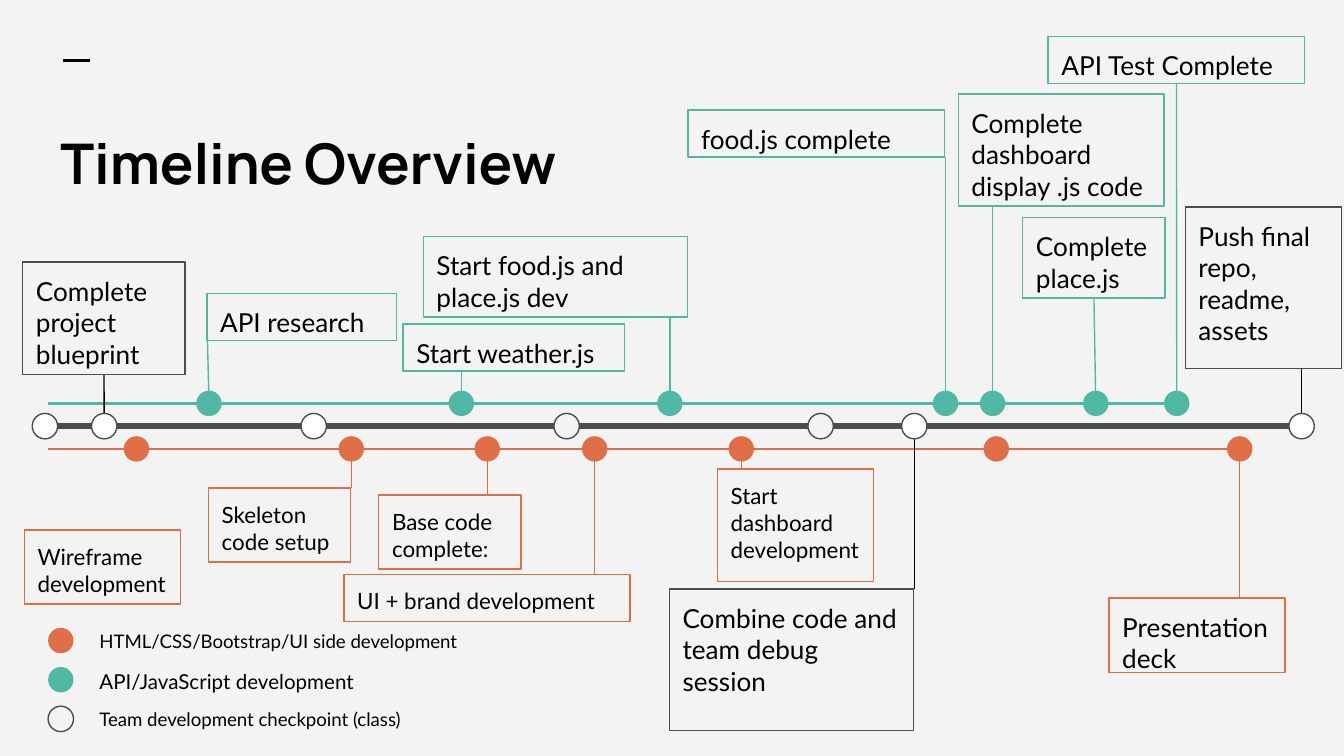
from lxml import etree
from pptx import Presentation
from pptx.dml.color import RGBColor
from pptx.enum import shapes, text
from pptx.oxml import ns
from pptx.util import Cm, Pt

COLORS = {
    "paper": "F3F3F3",
    "white": "FFFFFF",
    "ink": "000000",
    "grey": "4C4C4C",
    "teal": "51B9A3",
    "orange": "E06F48",
}
DOT = 0.48
INSET = 0.25

API_DOTS = [3.05, 7.82, 11.76, 16.97, 17.86, 19.81, 21.34]
API_LABELS = [
    ("API research", 3.01, -2.08, 3.58, 0.89, 14, 0, 1),
    ("Start weather.js", 6.72, -1.5, 4.19, 0.89, 14, 1, None),
    ("Start food.js and place.js dev", 7.1, -3.15, 5, 1.52, 14, 2, None),
    ("food.js complete", 12.1, -5.54, 4.85, 0.89, 14, 3, None),
    ("Complete dashboard display .js code", 17.21, -5.84, 3.89, 2.11, 14, 4, None),
    ("Complete place.js", 18.43, -3.51, 2.69, 1.52, 14, 5, 2),
    ("API Test Complete", 18.91, -6.93, 4.85, 0.89, 14, 6, 2),
]
UI_DOTS = [1.68, 5.74, 8.31, 10.34, 13.11, 17.93, 22.53]
UI_LABELS = [
    ("Wireframe development", -0.44, 1.53, 2.95, 1.4, 12, None, None),
    ("Skeleton code setup", 3.04, 0.74, 2.69, 1.4, 12, 1, None),
    ("Base code complete:", 6.26, 0.87, 2.69, 1.4, 12, 2, None),
    ("UI + brand development", 5.6, 2.37, 5.41, 0.89, 12, 3, None),
    ("Start dashboard development", 12.66, 0.38, 2.95, 2.13, 12, 4, None),
    ("Presentation deck", 20.06, 2.82, 3.33, 1.4, 14, 6, None),
]
TEAM_DOTS = [-0.05, 1.07, 5.03, 9.81, 14.61, 16.38, 23.7]
TEAM_LABELS = [
    ("Complete project blueprint", -0.47, -3.1, 3.07, 2.13, 14, 1, 2),
    ("Combine code and team debug session", 11.75, 3.08, 4.62, 2.67, 14, 5, None),
    ("Push final repo, readme, assets", 21.5, -4.14, 2.95, 3.05, 14, 6, None),
]
TEAM_PALE_DOTS = (3, 4)
LEGEND = [
    ("HTML/CSS/Bootstrap/UI side development", 10, "orange", None),
    ("API/JavaScript development", 11, "teal", None),
    ("Team development checkpoint (class)", 10, "paper", "grey"),
]


def rgb(name):
    return RGBColor.from_string(COLORS[name])


def add_line(s, x1, y1, x2, y2, color, width):
    line = s.shapes.add_connector(
        shapes.MSO_CONNECTOR.STRAIGHT, Cm(x1), Cm(y1), Cm(x2), Cm(y2))
    line.line.color.rgb = rgb(color)
    line.line.width = Pt(width)
    sp_pr = line._element.find(ns.qn("p:spPr"))
    etree.SubElement(sp_pr, ns.qn("a:effectLst"))
    return line


def add_shape(s, kind, box, fill, outline):
    sp = s.shapes.add_shape(kind, *map(Cm, box))
    sp.shadow.inherit = False
    if fill:
        sp.fill.solid()
        sp.fill.fore_color.rgb = rgb(fill)
    else:
        sp.fill.background()
    if outline:
        sp.line.color.rgb = rgb(outline)
        sp.line.width = Pt(0.75)
    else:
        sp.line.fill.background()
    return sp


def add_dot(s, x, y, fill, outline=None):
    add_shape(s, shapes.MSO_SHAPE.OVAL, (x, y, DOT, DOT), fill, outline)


def write(sp, words, size, font="Lato", bold=False, anchor=text.MSO_ANCHOR.TOP):
    tf = sp.text_frame
    tf.text = words
    tf.word_wrap = True
    tf.auto_size = text.MSO_AUTO_SIZE.NONE
    tf.vertical_anchor = anchor
    tf.margin_left = tf.margin_right = tf.margin_top = tf.margin_bottom = Cm(INSET)
    p = tf.paragraphs[0]
    p.alignment = text.PP_ALIGN.LEFT
    p.font.name = font
    p.font.size = Pt(size)
    p.font.bold = bold
    p.font.color.rgb = rgb("ink")


def heading(s, box):
    x, y, w, h = box
    add_line(s, x + 0.3, y - 0.69, x + 0.81, y - 0.69, "ink", 1.5)
    sp = s.shapes.title
    sp.left, sp.top, sp.width, sp.height = map(Cm, box)
    write(sp, "Timeline Overview", 30, "Manrope", True, text.MSO_ANCHOR.BOTTOM)


def lane(s, box, dots, labels, color, weight, stem_color, fills, outline=None):
    x, y, w, h = box
    mid = y + h / 2
    add_line(s, x, mid, x + w, mid, color, weight)
    for words, dx, dy, lw, lh, size, dot, site in labels:
        sp = add_shape(s, shapes.MSO_SHAPE.RECTANGLE, (x + dx, mid + dy, lw, lh), None, color)
        write(sp, words, size)
        if dot is None:
            continue
        stem_x = x + dots[dot]
        edge = mid + dy + (lh if dy < 0 else 0)
        stem = add_line(s, stem_x, edge, stem_x, mid, stem_color, 0.75)
        if site is not None:
            stem.begin_connect(sp, site)
    for dx, fill in zip(dots, fills):
        add_dot(s, x + dx - h / 2, y, fill, outline)


def legend(s, box):
    x, y, w, h = box
    row = h / len(LEGEND)
    for i, (words, size, fill, outline) in enumerate(LEGEND):
        top = y + i * row
        add_dot(s, x, top + 0.22, fill, outline)
        tb = s.shapes.add_textbox(Cm(x + 0.72), Cm(top), Cm(w - 0.72), Cm(row))
        write(tb, words, size)


def main():
    prs = Presentation()
    prs.slide_width, prs.slide_height = Cm(25.4), Cm(14.28)
    s = prs.slides.add_slide(prs.slide_layouts[5])
    s.background.fill.solid()
    s.background.fill.fore_color.rgb = rgb("paper")

    heading(s, (0.89, 1.83, 10.06, 2.11))
    lane(s, (0.9, 7.38, 21.48, DOT), API_DOTS, API_LABELS, "teal", 1.5, "teal",
         ["teal"] * len(API_DOTS))
    lane(s, (0.9, 8.24, 22.49, DOT), UI_DOTS, UI_LABELS, "orange", 1.5, "orange",
         ["orange"] * len(UI_DOTS))
    team_fills = ["paper" if i in TEAM_PALE_DOTS else "white" for i in range(len(TEAM_DOTS))]
    lane(s, (0.9, 7.81, 23.66, DOT), TEAM_DOTS, TEAM_LABELS, "grey", 3, "ink",
         team_fills, "grey")
    legend(s, (0.91, 11.64, 12, 2.22))
    prs.save("out.pptx")


if __name__ == "__main__":
    main()
